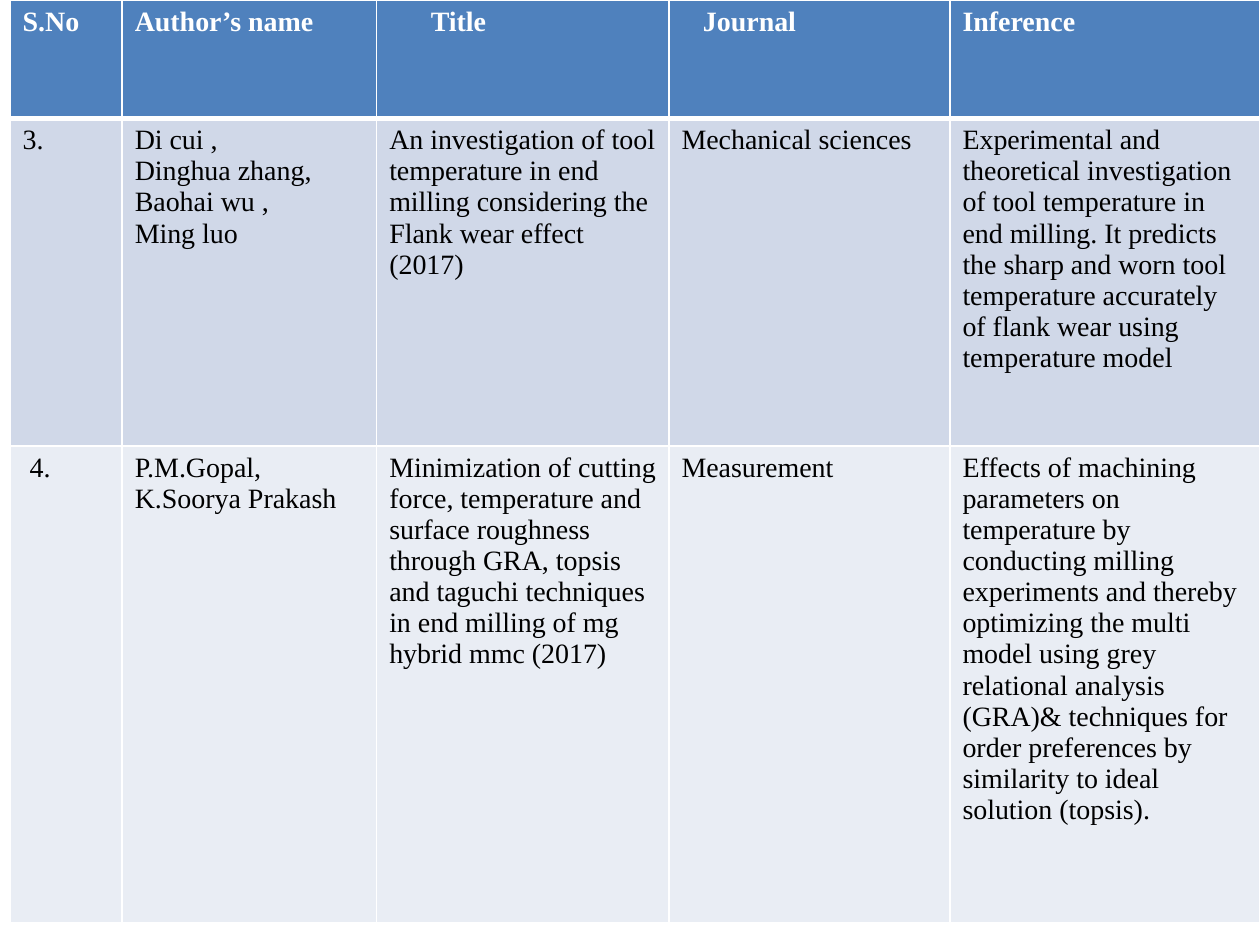
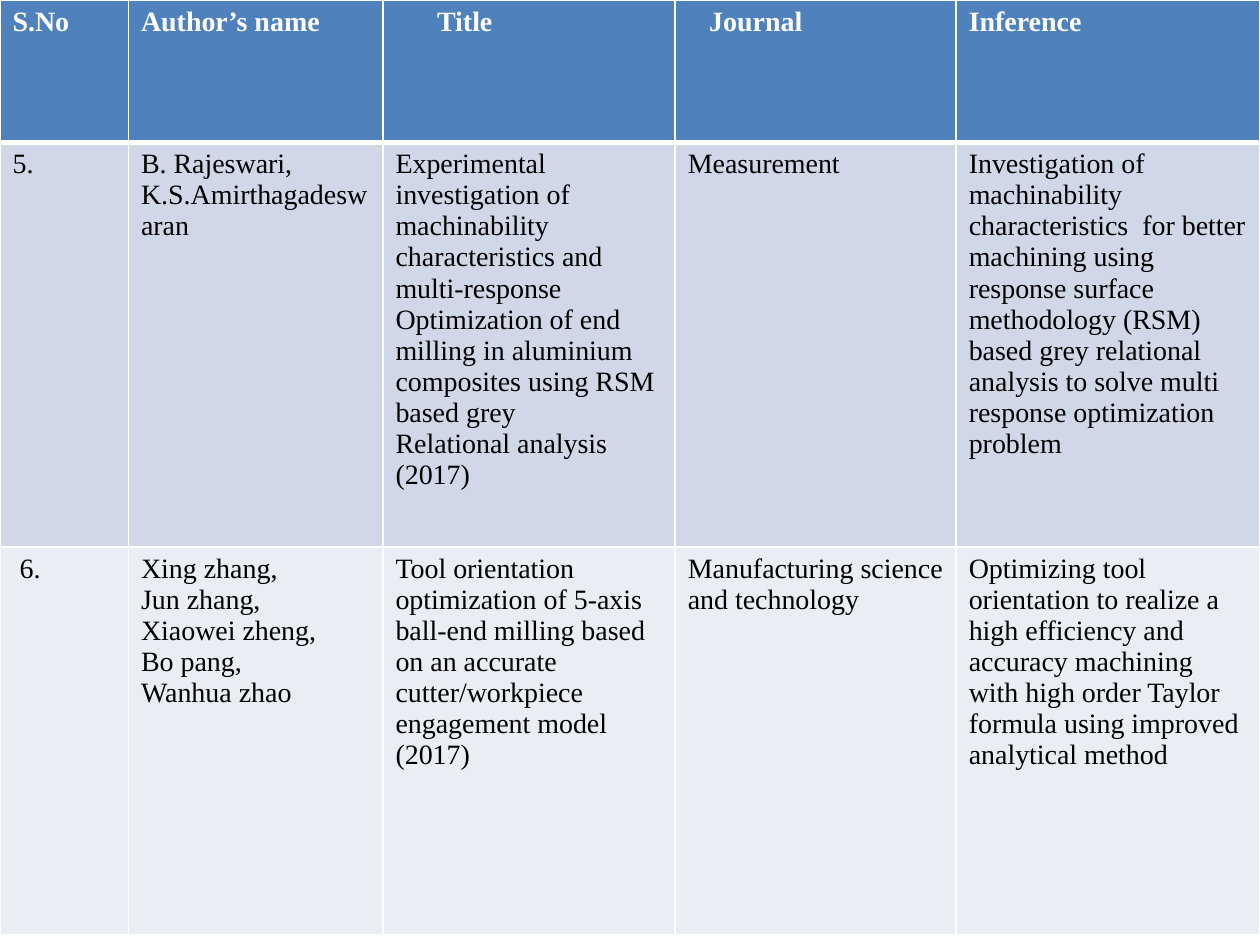
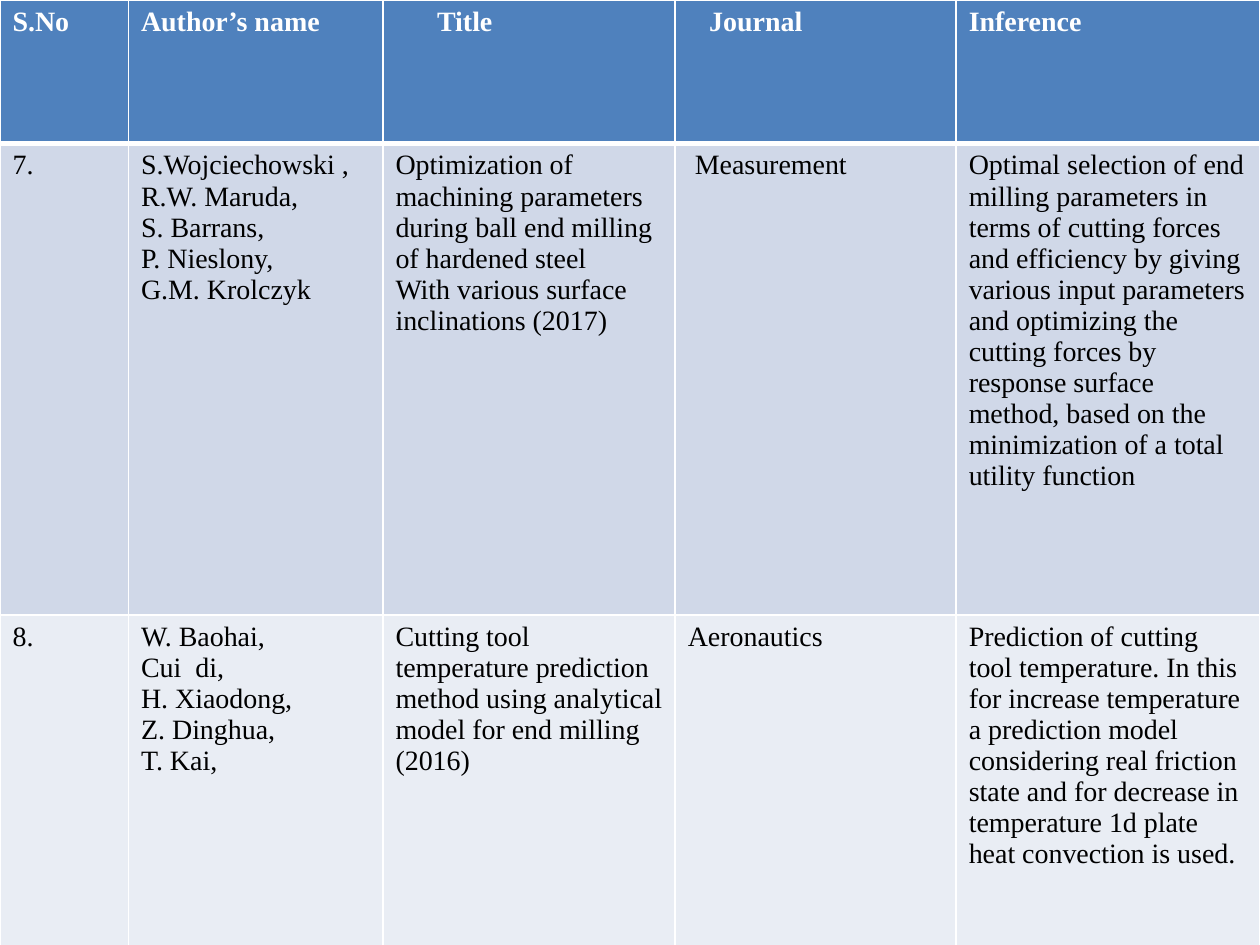
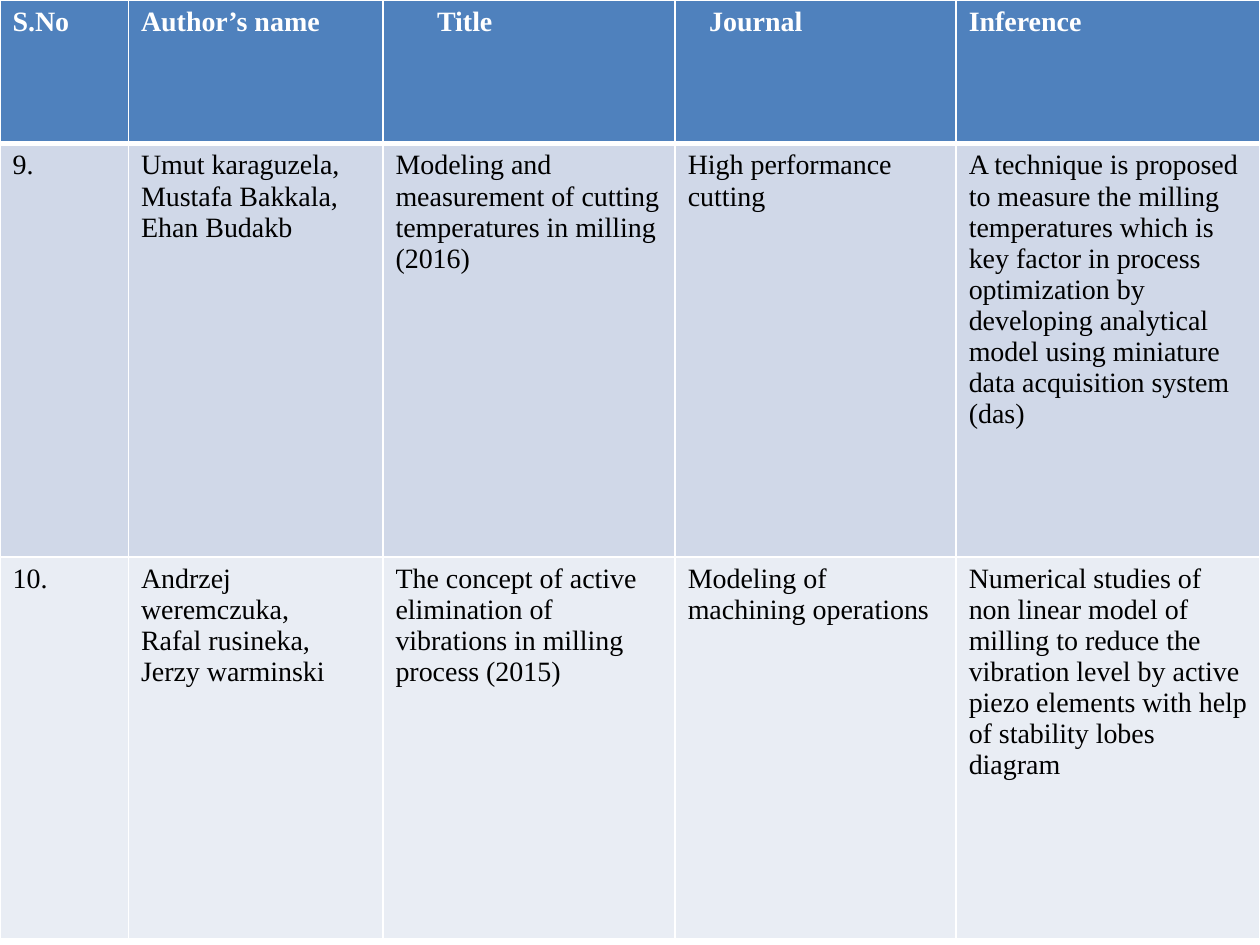
from lxml import etree
from pptx import Presentation
from pptx.dml.color import RGBColor
from pptx.oxml.ns import qn
from pptx.util import Inches, Pt

SLIDE_WIDTH, SLIDE_HEIGHT = 10, 7.5
FONT, FONT_SIZE = "Times New Roman", 16
WHITE, BLACK, HEADER_BLUE = "FFFFFF", "000000", "4F81BD"
BAND_FILLS = ["D0D8E8", "E9EDF4"]
THIN, THICK = 1, 3
CELL_MARGIN = 0.1

# Heading and its extra indent in inches
HEADINGS = [("S.No", 0), ("Author’s name", 0), ("Title", 0.33), ("Journal", 0.17), ("Inference", 0)]
MIDDLE_COLUMNS = [2.02, 2.32, 2.23]

SURVEY_PAGES = [
    {
        "left": 0.08, "number_column": 0.89, "rows": [0.94, 2.6, 3.78],
        "papers": [
            ("3.", "Di cui ,\nDinghua zhang,\nBaohai wu ,\nMing luo",
             "An investigation of tool temperature in end milling considering the\n"
             "Flank wear effect\n(2017)",
             "Mechanical sciences",
             "Experimental and theoretical investigation of tool temperature in end milling. "
             "It predicts the sharp and worn tool temperature accurately of flank wear using "
             "temperature model"),
            (" 4.", "P.M.Gopal,\nK.Soorya Prakash",
             "Minimization of cutting force, temperature and surface roughness through GRA, "
             "topsis and taguchi techniques in end milling of mg hybrid mmc (2017)",
             "Measurement",
             "Effects of machining parameters on temperature by conducting milling experiments "
             "and thereby optimizing the multi model using grey relational analysis (GRA)& "
             "techniques for order preferences by similarity to ideal solution (topsis)."),
        ],
    },
    {
        "left": 0, "number_column": 1.02, "rows": [1.13, 3.21, 3.08],
        "papers": [
            ("5.", "B. Rajeswari,\nK.S.Amirthagadeswaran",
             "Experimental investigation of machinability characteristics and multi-response\n"
             "Optimization of end milling in aluminium composites using RSM based grey\n"
             "Relational analysis (2017)",
             "Measurement",
             "Investigation of machinability characteristics  for better machining using response "
             "surface methodology (RSM) based grey relational analysis to solve multi response "
             "optimization problem"),
            (" 6.", "Xing zhang,\nJun zhang,\nXiaowei zheng,\nBo pang,\nWanhua zhao",
             "Tool orientation optimization of 5-axis ball-end milling based on an accurate "
             "cutter/workpiece engagement model (2017)",
             "Manufacturing science and technology",
             "Optimizing tool orientation to realize a high efficiency and accuracy machining "
             "with high order Taylor formula using improved analytical method"),
        ],
    },
    {
        "left": 0, "number_column": 1.02, "rows": [1.14, 3.74, 2.79],
        "papers": [
            ("7.", "S.Wojciechowski ,\nR.W. Maruda,\nS. Barrans,\nP. Nieslony,\nG.M. Krolczyk",
             "Optimization of machining parameters during ball end milling of hardened steel\n"
             "With various surface inclinations (2017)",
             " Measurement",
             "Optimal selection of end milling parameters in terms of cutting forces and "
             "efficiency by giving various input parameters and optimizing the cutting forces by "
             "response surface method, based on the minimization of a total utility function"),
            ("8.", "W. Baohai,\nCui  di,\nH. Xiaodong,\nZ. Dinghua,\nT. Kai,",
             "Cutting tool temperature prediction method using analytical model for end milling\n"
             "(2016)",
             "Aeronautics",
             "Prediction of cutting tool temperature. In this for increase temperature a "
             "prediction model considering real friction state and for decrease in temperature "
             "1d plate heat convection is used."),
        ],
    },
    {
        "left": 0, "number_column": 1.02, "rows": [1.14, 3.28, 3.03],
        "papers": [
            ("9.", "Umut karaguzela, Mustafa Bakkala, Ehan Budakb",
             "Modeling and measurement of cutting temperatures in milling (2016)",
             "High performance cutting",
             "A technique is proposed to measure the milling temperatures which is key factor in "
             "process optimization by developing analytical model using miniature data "
             "acquisition system (das)"),
            ("10.", "Andrzej weremczuka,\nRafal rusineka, Jerzy warminski",
             "The concept of active elimination of vibrations in milling process (2015)",
             "Modeling of machining operations",
             "Numerical studies of non linear model of milling to reduce the vibration level by "
             "active piezo elements with help of stability lobes diagram"),
        ],
    },
]


def color(hex_value):
    return RGBColor.from_string(hex_value)


def set_borders(cell, top, bottom):
    """Draw white borders; top and bottom are widths in points."""
    properties = cell._tc.get_or_add_tcPr()
    for side, width in (("L", THIN), ("R", THIN), ("T", top), ("B", bottom)):
        line = etree.SubElement(properties, qn(f"a:ln{side}"), w=str(Pt(width)))
        fill = etree.SubElement(line, qn("a:solidFill"))
        etree.SubElement(fill, qn("a:srgbClr"), val=WHITE)


def fill_cell(cell, text, fill, font_color, bold=False, indent=0, top=THIN, bottom=THIN):
    set_borders(cell, top, bottom)
    cell.fill.solid()
    cell.fill.fore_color.rgb = color(fill)
    cell.margin_left = Inches(CELL_MARGIN + indent)
    cell.text = text
    for paragraph in cell.text_frame.paragraphs:
        font = paragraph.font
        font.name, font.size, font.bold = FONT, Pt(FONT_SIZE), bold
        font.color.rgb = color(font_color)


def add_survey_table(slide, page):
    papers, row_heights, left = page["papers"], page["rows"], page["left"]
    width = SLIDE_WIDTH - left
    last_column = width - page["number_column"] - sum(MIDDLE_COLUMNS)
    column_widths = [page["number_column"], *MIDDLE_COLUMNS, last_column]

    table = slide.shapes.add_table(
        len(row_heights), len(HEADINGS),
        Inches(left), 0, Inches(width), Inches(sum(row_heights))).table
    for column, column_width in zip(table.columns, column_widths):
        column.width = Inches(column_width)
    for row, height in zip(table.rows, row_heights):
        row.height = Inches(height)

    for column, (heading, indent) in enumerate(HEADINGS):
        fill_cell(table.cell(0, column), heading, HEADER_BLUE, WHITE,
                  bold=True, indent=indent, bottom=THICK)
    for row, (paper, band) in enumerate(zip(papers, BAND_FILLS), start=1):
        for column, text in enumerate(paper):
            fill_cell(table.cell(row, column), text, band, BLACK,
                      top=THICK if row == 1 else THIN)


def main():
    presentation = Presentation()
    presentation.slide_width = Inches(SLIDE_WIDTH)
    presentation.slide_height = Inches(SLIDE_HEIGHT)
    blank_layout = presentation.slide_layouts[6]
    for page in SURVEY_PAGES:
        add_survey_table(presentation.slides.add_slide(blank_layout), page)
    presentation.save("out.pptx")


if __name__ == "__main__":
    main()
